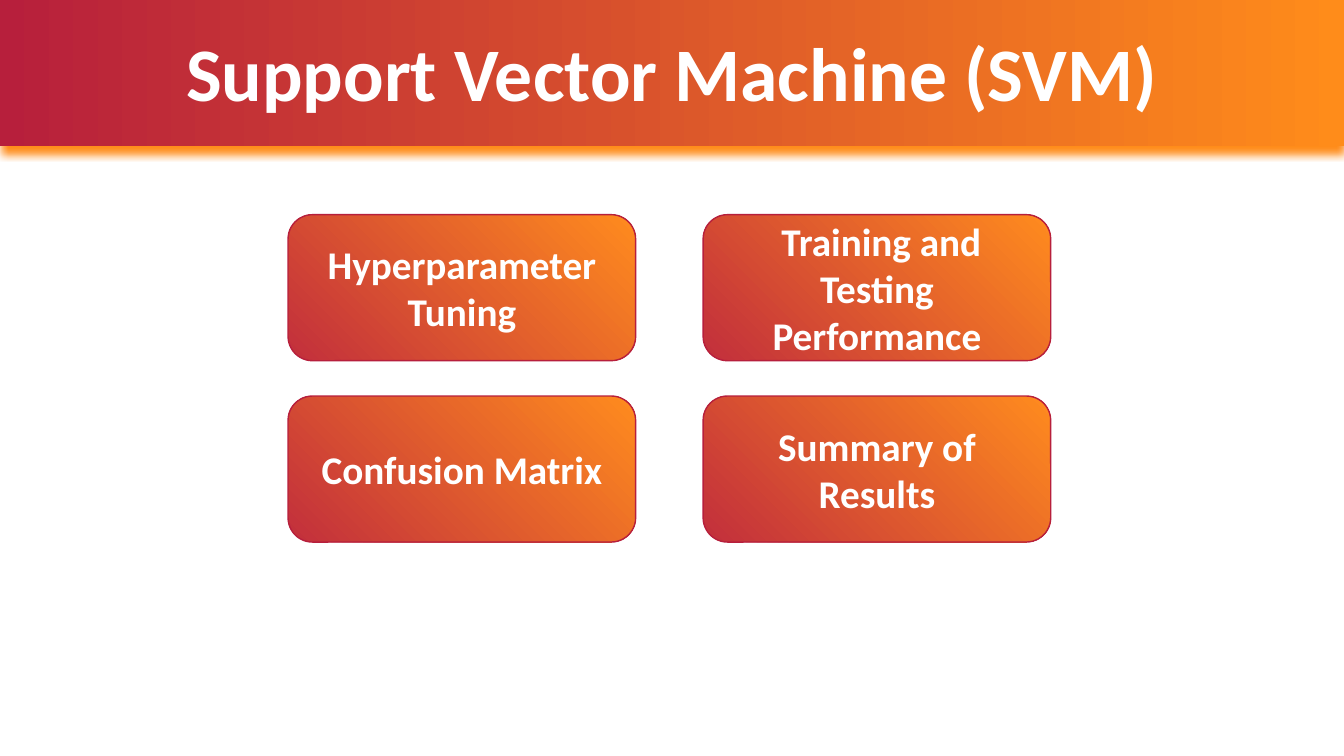
"""Build the Support Vector Machine section slide with four topic cards."""
from lxml import etree
from pptx import Presentation
from pptx.dml.color import RGBColor
from pptx.enum.shapes import MSO_SHAPE
from pptx.enum.text import MSO_ANCHOR, MSO_AUTO_SIZE, PP_ALIGN
from pptx.oxml.ns import qn
from pptx.util import Cm, Pt

TITLE = "Support Vector Machine (SVM)"
TOPICS = [
    ["Hyperparameter Tuning", " Training and Testing Performance"],
    ["Confusion Matrix", "Summary of Results"],
]
COLORS = {
    "band_start": "B71F3C", "band_end": "FF8C1A",
    "card_start": "C22F3C", "card_end": "FF8B1E",
    "outline": "B71F3C", "shadow": "FF8C1A", "text": "FFFFFF",
}
FONT = "Calibri"
PAGE_WIDTH, PAGE_HEIGHT = 33.87, 19.05
BAND_HEIGHT, TITLE_HEIGHT = 3.68, 3.1
CARD_LEFT, CARD_TOP = 7.26, 5.41
CARD_WIDTH, CARD_HEIGHT = 8.76, 3.68
COLUMN_STEP, ROW_STEP = 10.46, 4.57
RECTANGLE, ROUNDED = MSO_SHAPE.RECTANGLE, MSO_SHAPE.ROUNDED_RECTANGLE
MIDDLE, BOTTOM = MSO_ANCHOR.MIDDLE, MSO_ANCHOR.BOTTOM
CENTER, NO_FIT = PP_ALIGN.CENTER, MSO_AUTO_SIZE.NONE


def rgb(name):
    return RGBColor.from_string(COLORS[name])


def add_gradient_box(page, shape_type, bounds, kind, angle):
    box = page.shapes.add_shape(shape_type, *map(Cm, bounds))
    box.shadow.inherit = False
    box.fill.gradient()
    box.fill.gradient_angle = angle
    for stop, end in zip(box.fill.gradient_stops, ("start", "end")):
        stop.color.rgb = rgb(f"{kind}_{end}")
    return box


def add_lower_shadow(box):
    effects = box._element.spPr.find(qn("a:effectLst"))
    shadow = etree.SubElement(
        effects, qn("a:outerShdw"), blurRad=str(Cm(0.2)), dist=str(Cm(0.2)),
        dir="5400000", algn="t", rotWithShape="0")
    etree.SubElement(shadow, qn("a:srgbClr"), val=COLORS["shadow"])


def write_text(box, text, size, anchor):
    frame = box.text_frame
    frame.text = text
    frame.word_wrap = True
    frame.auto_size = NO_FIT
    frame.vertical_anchor = anchor
    para = frame.paragraphs[0]
    para.alignment = CENTER
    para.font.name = FONT
    para.font.size = Pt(size)
    para.font.bold = True
    para.font.color.rgb = rgb("text")
    return para


def main():
    deck = Presentation()
    deck.slide_width, deck.slide_height = Cm(PAGE_WIDTH), Cm(PAGE_HEIGHT)
    page = deck.slides.add_slide(deck.slide_layouts[5])

    band = add_gradient_box(page, RECTANGLE, (0, 0, PAGE_WIDTH, BAND_HEIGHT), "band", 0)
    band.line.fill.background()
    add_lower_shadow(band)

    title = page.shapes.title
    band._element.addnext(title._element)
    title.left, title.top = Cm(0), Cm(0)
    title.width, title.height = Cm(PAGE_WIDTH), Cm(TITLE_HEIGHT)
    write_text(title, TITLE, 54, BOTTOM).line_spacing = 0.9

    for row, topics in enumerate(TOPICS):
        for column, topic in enumerate(topics):
            bounds = (CARD_LEFT + column * COLUMN_STEP, CARD_TOP + row * ROW_STEP,
                      CARD_WIDTH, CARD_HEIGHT)
            card = add_gradient_box(page, ROUNDED, bounds, "card", 45)
            card.line.color.rgb = rgb("outline")
            card.line.width = Pt(1)
            write_text(card, topic, 28, MIDDLE)

    deck.save("out.pptx")


if __name__ == "__main__":
    main()
